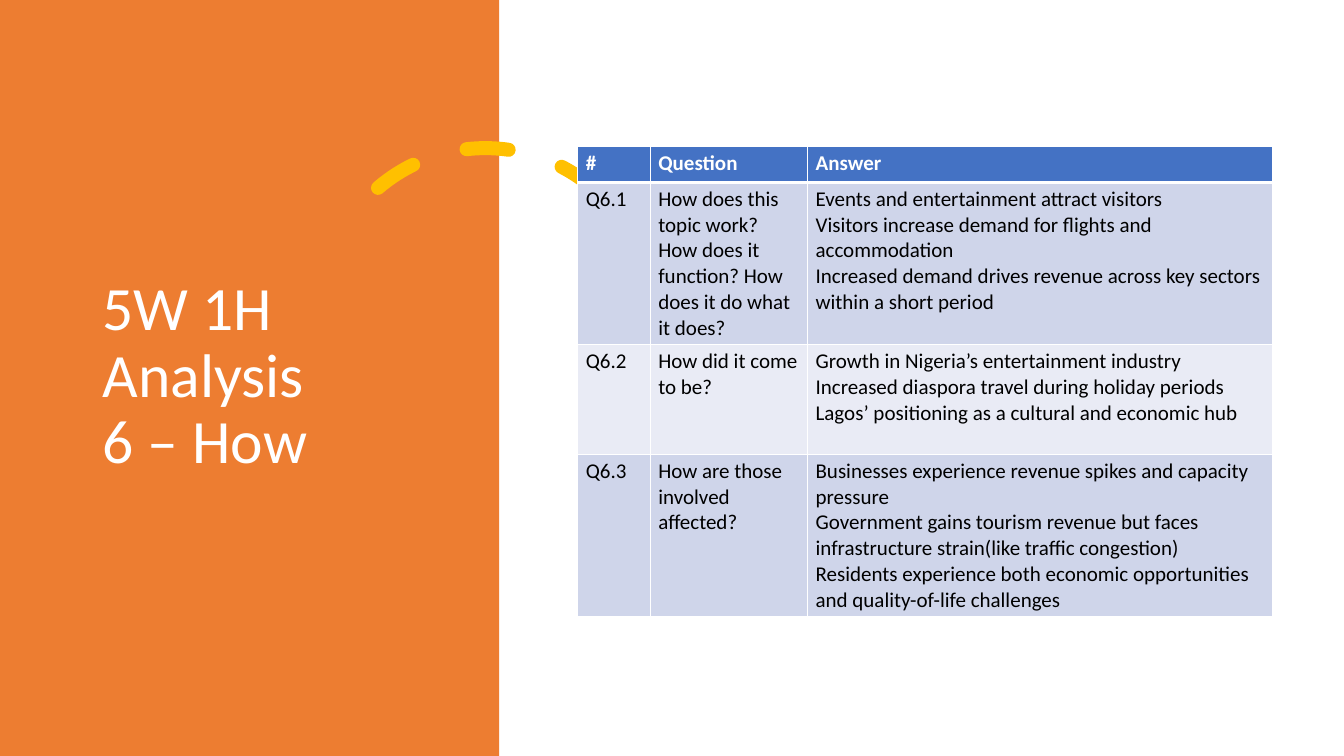
from dataclasses import dataclass

from lxml.etree import SubElement
from pptx import Presentation
from pptx.dml.color import RGBColor
from pptx.enum.dml import MSO_LINE_DASH_STYLE as Dash
from pptx.enum.shapes import MSO_SHAPE as Shape
from pptx.enum.text import MSO_ANCHOR as Anchor, PP_ALIGN as Align
from pptx.oxml.ns import qn
from pptx.util import Inches, Pt

TITLE = "5W 1H Analysis\v6 – How"
HEADER = ("#", "Question", "Answer")
ANSWERS = [
    ("Q6.1",
     "How does this topic work? How does it function? How does it do what it does?",
     ["Events and entertainment attract visitors",
      "Visitors increase demand for flights and accommodation",
      "Increased demand drives revenue across key sectors within a short period"]),
    ("Q6.2",
     "How did it come to be?",
     ["Growth in Nigeria’s entertainment industry",
      "Increased diaspora travel during holiday periods",
      "Lagos’ positioning as a cultural and economic hub"]),
    ("Q6.3",
     "How are those involved affected?",
     ["Businesses experience revenue spikes and capacity pressure",
      "Government gains tourism revenue but faces infrastructure strain(like traffic congestion)",
      "Residents experience both economic opportunities and quality-of-life challenges"]),
]
COLUMN_WIDTHS = (0.72, 1.56, 4.61)
ROW_HEIGHTS = (0.36, 1.61, 1.09, 1.61)


@dataclass(frozen=True)
class Theme:
    font: str = "Calibri"
    title_size: int = 44
    table_size: int = 15
    panel: str = "ED7D31"
    arc: str = "FFC000"
    header: str = "4472C4"
    bands: tuple = ("CFD5EA", "E9EBF5")
    light: str = "FFFFFF"
    dark: str = "000000"


THEME = Theme()


def color(value):
    return RGBColor.from_string(value)


def style_runs(text_frame, size, value, bold=False):
    for paragraph in text_frame.paragraphs:
        for run in paragraph.runs:
            run.font.name = THEME.font
            run.font.size = Pt(size)
            run.font.bold = bold
            run.font.color.rgb = color(value)


def add_panel(slide, height):
    panel = slide.shapes.add_shape(Shape.RECTANGLE, 0, 0, Inches(4.95), height)
    panel.shadow.inherit = False
    panel.fill.solid()
    panel.fill.fore_color.rgb = color(THEME.panel)
    panel.line.fill.background()


def add_dashed_arc(slide):
    arc = slide.shapes.add_shape(
        Shape.ARC, Inches(3.18), Inches(1.47), Inches(3.27), Inches(3.27))
    arc.shadow.inherit = False
    arc.rotation = 345.8
    arc.adjustments[0] = 146.13
    arc.adjustments[1] = 0
    arc.fill.background()
    arc.line.color.rgb = color(THEME.arc)
    arc.line.width = Pt(10)
    arc.line.dash_style = Dash.DASH
    arc.line._get_or_add_ln().set("cap", "rnd")


def add_title(slide):
    box = slide.shapes.add_textbox(
        Inches(0.92), Inches(0.7), Inches(3.23), Inches(6.09))
    text_frame = box.text_frame
    text_frame.word_wrap = True
    text_frame.vertical_anchor = Anchor.MIDDLE
    text_frame.text = TITLE
    text_frame.paragraphs[0].line_spacing = 0.9
    text_frame.paragraphs[0].alignment = Align.LEFT
    style_runs(text_frame, THEME.title_size, THEME.light)


def set_borders(cell, widths):
    """Draw light borders; widths maps each side tag to points."""
    properties = cell._tc.get_or_add_tcPr()
    for side, width in widths.items():
        line = SubElement(properties, qn(f"a:{side}"), w=str(Pt(width)))
        fill = SubElement(line, qn("a:solidFill"))
        SubElement(fill, qn("a:srgbClr"), val=THEME.light)


def add_answer_table(slide):
    rows = [HEADER] + [(number, question, "\n".join(answers))
                       for number, question, answers in ANSWERS]
    table = slide.shapes.add_table(
        len(rows), len(HEADER), Inches(5.73), Inches(1.45),
        Inches(sum(COLUMN_WIDTHS)), Inches(sum(ROW_HEIGHTS))).table
    for column, width in zip(table.columns, COLUMN_WIDTHS):
        column.width = Inches(width)
    for index, (row, height, texts) in enumerate(zip(table.rows, ROW_HEIGHTS, rows)):
        row.height = Inches(height)
        is_header = index == 0
        borders = {"lnL": 1, "lnR": 1,
                   "lnT": 3 if index == 1 else 1,
                   "lnB": 3 if is_header else 1}
        background = THEME.header if is_header else THEME.bands[(index - 1) % 2]
        for cell, text in zip(row.cells, texts):
            set_borders(cell, borders)
            cell.fill.solid()
            cell.fill.fore_color.rgb = color(background)
            cell.margin_left = cell.margin_right = Inches(0.08)
            cell.margin_top = cell.margin_bottom = Inches(0.04)
            cell.text_frame.text = text
            style_runs(cell.text_frame, THEME.table_size,
                       THEME.light if is_header else THEME.dark, is_header)


def main():
    presentation = Presentation()
    presentation.slide_width = Inches(13.33)
    presentation.slide_height = Inches(7.5)
    slide = presentation.slides.add_slide(presentation.slide_layouts[6])
    add_panel(slide, presentation.slide_height)
    add_dashed_arc(slide)
    add_title(slide)
    add_answer_table(slide)
    presentation.save("out.pptx")


if __name__ == "__main__":
    main()
